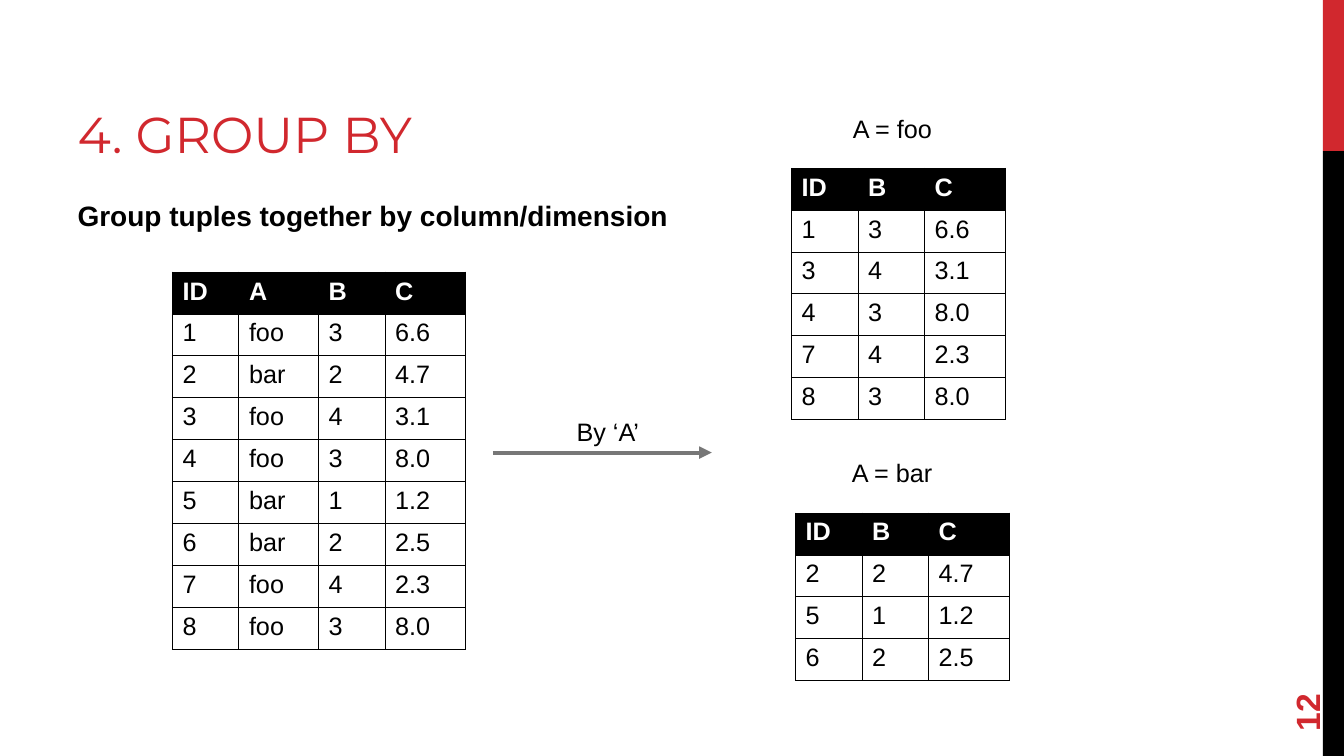
from lxml.etree import SubElement as Sub
from pptx import Presentation
from pptx.dml.color import RGBColor as RGB
from pptx.enum.shapes import MSO_CONNECTOR as Link, MSO_SHAPE as Form
from pptx.enum.text import MSO_ANCHOR as Anchor
from pptx.oxml.ns import qn
from pptx.util import Inches, Pt

RED = RGB(0xD1, 0x28, 0x2E)
BLACK = RGB(0, 0, 0)
WHITE = RGB(0xFF, 0xFF, 0xFF)
GRAY = RGB(0x77, 0x77, 0x77)

HEAD = ("ID", "A", "B", "C")
ROWS = [
    ("1", "foo", "3", "6.6"),
    ("2", "bar", "2", "4.7"),
    ("3", "foo", "4", "3.1"),
    ("4", "foo", "3", "8.0"),
    ("5", "bar", "1", "1.2"),
    ("6", "bar", "2", "2.5"),
    ("7", "foo", "4", "2.3"),
    ("8", "foo", "3", "8.0"),
]
GROUPS = [("foo", 58.89, 22.27), ("bar", 59.19, 67.87)]
WIDTHS = {"ID": 4.95, "A": 5.93, "B": 4.95, "C": 6}
ROW = 5.54

PLAIN = {"name": "Arial", "size": Pt(18), "bold": False}
BOLD = PLAIN | {"bold": True}
TITLE = PLAIN | {"name": "Montserrat", "size": Pt(36)}
LEAD = BOLD | {"size": Pt(20)}
PAGE = BOLD | {"size": Pt(24)}

TEXTS = [
    ("4. GROUP BY", (5.03, 2.27, 63.32, 20), TITLE, RED, Anchor.BOTTOM, True, 0),
    ("Group tuples together by column/dimension", (5.03, 25.6, 83.35, 63.73),
     LEAD, BLACK, Anchor.TOP, True, 0),
    ("12", (91.82, 84.93, 10.8, 7.07), PAGE, RED, Anchor.MIDDLE, True, 270),
    ("A = foo", (62.72, 14.27, 7.43, 5.33), PLAIN, BLACK, Anchor.TOP, False, 0),
    ("A = bar", (62.64, 59.87, 7.58, 5.33), PLAIN, BLACK, Anchor.TOP, False, 0),
    ("By ‘A’", (42.16, 54.4, 9.23, 5.33), PLAIN, BLACK, Anchor.TOP, True, 0),
]
BARS = [(0, 20, RED), (20, 80, BLACK)]
ARROW = (36.68, 59.87, 52.96, 59.87)

deck = Presentation()
deck.slide_width, deck.slide_height = Inches(13.33), Inches(7.5)
slide = deck.slides.add_slide(deck.slide_layouts[6])
shapes = slide.shapes


def across(share):
    return int(deck.slide_width * share / 100)


def down(share):
    return int(deck.slide_height * share / 100)


def place(x, y, w, h):
    return across(x), down(y), across(w), down(h)


def style(font, look, color):
    for key, value in look.items():
        setattr(font, key, value)
    font.color.rgb = color


def border(cell):
    props = cell._tc.get_or_add_tcPr()
    for side in ("lnL", "lnR", "lnT", "lnB"):
        line = Sub(props, qn("a:" + side), w=str(Pt(0.75)))
        fill = Sub(line, qn("a:solidFill"))
        Sub(fill, qn("a:srgbClr"), val=str(BLACK))


def add_grid(x, y, head, rows):
    lines = [head, *rows]
    width = sum(WIDTHS[name] for name in head)
    box = place(x, y, width, ROW * len(lines))
    table = shapes.add_table(len(lines), len(head), *box).table
    table.first_row = table.horz_banding = False
    for col, name in zip(table.columns, head):
        col.width = across(WIDTHS[name])
    for r, line in enumerate(lines):
        table.rows[r].height = down(ROW)
        for c, word in enumerate(line):
            cell = table.cell(r, c)
            cell.text = word
            border(cell)
            if r == 0:
                cell.fill.solid()
                cell.fill.fore_color.rgb = BLACK
            else:
                cell.fill.background()
            run = cell.text_frame.paragraphs[0].runs[0]
            style(run.font, PLAIN if r else BOLD, BLACK if r else WHITE)


for top, tall, color in BARS:
    bar = shapes.add_shape(Form.RECTANGLE, *place(98.42, top, 1.58, tall))
    bar.shadow.inherit = False
    bar.fill.solid()
    bar.fill.fore_color.rgb = color
    bar.line.fill.background()

for words, box, look, color, anchor, wrap, turn in TEXTS:
    label = shapes.add_textbox(*place(*box))
    label.rotation = turn
    frame = label.text_frame
    frame.word_wrap = wrap
    frame.vertical_anchor = anchor
    run = frame.paragraphs[0].add_run()
    run.text = words
    style(run.font, look, color)

add_grid(12.83, 36, HEAD, ROWS)
for key, x, y in GROUPS:
    rest = [(num, b, c) for num, a, b, c in ROWS if a == key]
    add_grid(x, y, ("ID", "B", "C"), rest)

arrow = shapes.add_connector(Link.STRAIGHT, *place(*ARROW))
arrow.line.color.rgb = GRAY
arrow.line.width = Pt(3)
Sub(arrow.line._get_or_add_ln(), qn("a:tailEnd"), type="triangle")
Sub(arrow._element.spPr, qn("a:effectLst"))

deck.save("out.pptx")
